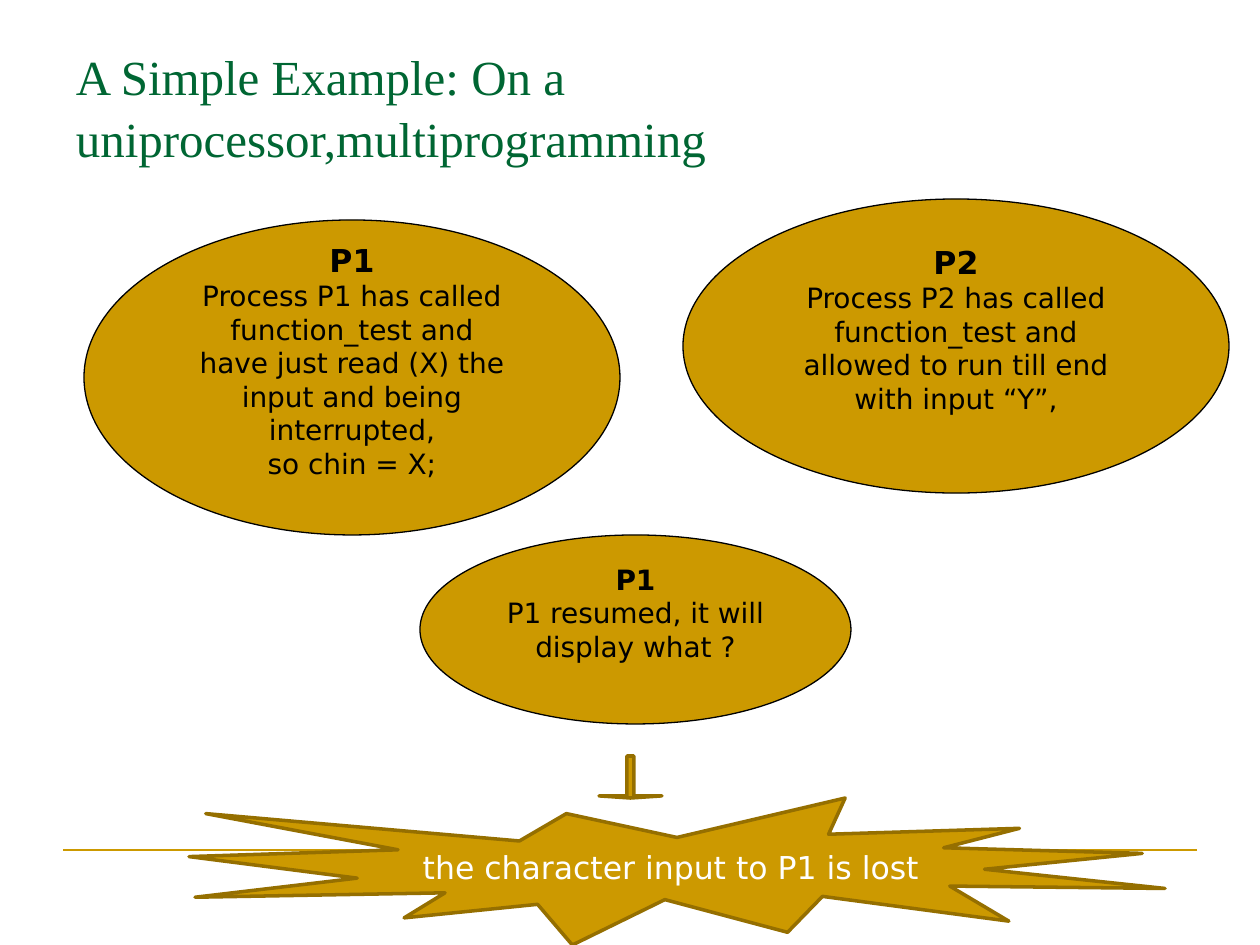
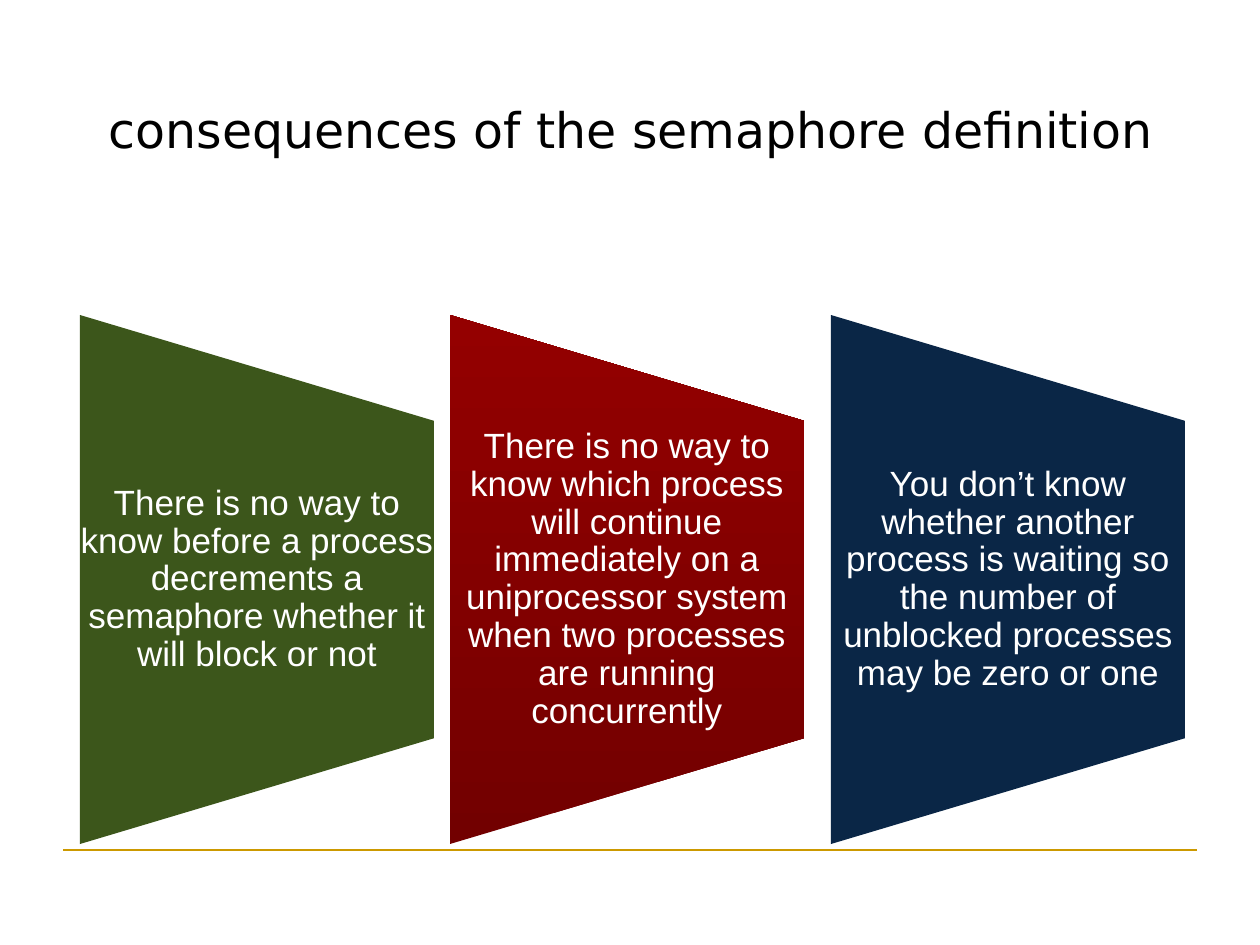
from dataclasses import dataclass

from lxml import etree
from pptx import Presentation
from pptx import util as u
from pptx.dml.color import RGBColor
from pptx.enum import shapes, text
from pptx.oxml.ns import qn


@dataclass(frozen=True)
class Theme:
    gold: str = "CC9900"
    dark_gold: str = "956F00"
    black: str = "000000"
    white: str = "FFFFFF"
    title_green: str = "006633"
    panel_green: str = "3C561B"
    panel_reds: tuple = ("720000", "940000")
    panel_navy: str = "0A2646"
    serif: str = "Times New Roman"
    sans: str = "DejaVu Sans"
    panel_font: str = "Arial"
    title_size: int = 28
    panel_size: int = 20
    heading_size: int = 18
    body_size: int = 16


THEME = Theme()
SLIDE_WIDTH, SLIDE_HEIGHT = 1260, 945
LINE_HEIGHT = 34
MIDDLE = text.MSO_ANCHOR.MIDDLE
CENTER = text.PP_ALIGN.CENTER


def px(length):
    return u.Emu(round(length * 914400 / 126))


def rgb(colour):
    return RGBColor.from_string(colour)


def add_slide(presentation):
    slide = presentation.slides.add_slide(presentation.slide_layouts[6])
    rule = slide.shapes.add_connector(
        shapes.MSO_CONNECTOR.STRAIGHT, px(63), px(850), px(1197), px(850))
    rule.line.color.rgb = rgb(THEME.gold)
    rule.line.width = u.Pt(1.5)
    etree.SubElement(rule.element.spPr, qn("a:effectLst"))
    return slide


def set_frame(shape, anchor, insets):
    frame = shape.text_frame
    frame.word_wrap = True
    frame.vertical_anchor = anchor
    frame.margin_left, frame.margin_top, frame.margin_right, frame.margin_bottom = map(px, insets)
    return frame


def write(paragraph, words, font, size, colour, bold=False, align=CENTER):
    paragraph.text = words
    paragraph.alignment = align
    paragraph.font.name = font
    paragraph.font.size = u.Pt(size)
    paragraph.font.color.rgb = rgb(colour)
    paragraph.font.bold = bold


def add_text(slide, box, anchor, insets, words, font, size, colour, align=CENTER):
    text_box = slide.shapes.add_textbox(*map(px, box))
    paragraph = set_frame(text_box, anchor, insets).paragraphs[0]
    write(paragraph, words, font, size, colour, align=align)
    return paragraph


def add_gold_shape(slide, kind, box, line_colour, line_width):
    shape = slide.shapes.add_shape(kind, *map(px, box))
    shape.shadow.inherit = False
    shape.fill.solid()
    shape.fill.fore_color.rgb = rgb(THEME.gold)
    shape.line.color.rgb = rgb(line_colour)
    shape.line.width = u.Pt(line_width)
    return shape


def add_process(slide, box, heading, heading_size, lines):
    ellipse = add_gold_shape(slide, shapes.MSO_SHAPE.OVAL, box, THEME.black, 0.75)
    frame = set_frame(ellipse, MIDDLE, (13, 6, 13, 6 + LINE_HEIGHT))
    write(frame.paragraphs[0], heading, THEME.sans, heading_size, THEME.black, bold=True)
    for line in lines:
        write(frame.add_paragraph(), line, THEME.sans, THEME.body_size, THEME.black)


def add_outcome(slide, box, words):
    left, top, width, height = box
    arrow = add_gold_shape(slide, shapes.MSO_SHAPE.DOWN_ARROW,
                           (left + 410, top - 42, 63, 42), THEME.dark_gold, 2)
    arrow.adjustments[0] = 0.11
    arrow.adjustments[1] = 0.05
    burst = add_gold_shape(slide, shapes.MSO_SHAPE.EXPLOSION1, box, THEME.dark_gold, 2)
    frame = set_frame(burst, MIDDLE, (13, 6, 13, 6))
    write(frame.paragraphs[0], words, THEME.sans, THEME.heading_size, THEME.white)


def add_panel(slide, box, colours, words):
    left, top, width, height = box
    turn = (height - width) / 2
    panel = slide.shapes.add_shape(
        shapes.MSO_SHAPE.FLOWCHART_MANUAL_OPERATION,
        px(left - turn), px(top + turn), px(height), px(width))
    panel.rotation = 270
    panel.shadow.inherit = False
    panel.line.fill.background()
    if len(colours) == 1:
        panel.fill.solid()
        panel.fill.fore_color.rgb = rgb(colours[0])
    else:
        panel.fill.gradient()
        panel.fill.gradient_angle = 0
        for stop, colour in zip(panel.fill.gradient_stops, colours):
            stop.color.rgb = rgb(colour)
    slope = height / 5
    paragraph = add_text(slide, (left, top + slope, width, height - 2 * slope), MIDDLE,
                         (0, 18, 0, 18), words, THEME.panel_font, THEME.panel_size, THEME.white)
    paragraph.line_spacing = 0.9


def build_example(presentation):
    slide = add_slide(presentation)
    title = add_text(slide, (63, 38, 1134, 88), text.MSO_ANCHOR.TOP, (13, 6, 13, 6),
                     "A Simple Example: On a uniprocessor,multiprogramming",
                     THEME.serif, THEME.title_size, THEME.title_green, text.PP_ALIGN.LEFT)
    title.line_spacing = 1.05
    add_process(slide, (84, 220, 536, 315), "P1", THEME.heading_size, [
        "Process P1 has called function_test and",
        "have just read (X) the input and being",
        "interrupted,",
        "so chin = X;",
    ])
    add_process(slide, (683, 199, 546, 294), "P2", THEME.heading_size, [
        "Process P2 has called function_test and",
        "allowed to run till end with input “Y”,",
    ])
    add_process(slide, (420, 535, 431, 189), "P1", THEME.body_size, [
        "P1 resumed, it will display what ?",
    ])
    add_outcome(slide, (189, 798, 976, 147), "the character input to P1 is lost")


def build_consequences(presentation):
    slide = add_slide(presentation)
    add_text(slide, (91, 63, 1079, 95), text.MSO_ANCHOR.BOTTOM, (13, 0, 13, 0),
             "consequences of the semaphore definition",
             THEME.sans, THEME.title_size, THEME.black)
    panels = [
        (80, (THEME.panel_green,),
         "There is no way to know before a process decrements a semaphore "
         "whether it will block or not"),
        (450, THEME.panel_reds,
         "There is no way to know which process will continue immediately on a "
         "uniprocessor system when two processes are running concurrently"),
        (831, (THEME.panel_navy,),
         "You don’t know whether another process is waiting so the number of "
         "unblocked processes may be zero or one"),
    ]
    for left, colours, words in panels:
        add_panel(slide, (left, 315, 354, 529), colours, words)


def main():
    presentation = Presentation()
    presentation.slide_width = px(SLIDE_WIDTH)
    presentation.slide_height = px(SLIDE_HEIGHT)
    build_example(presentation)
    build_consequences(presentation)
    presentation.save("out.pptx")


if __name__ == "__main__":
    main()
